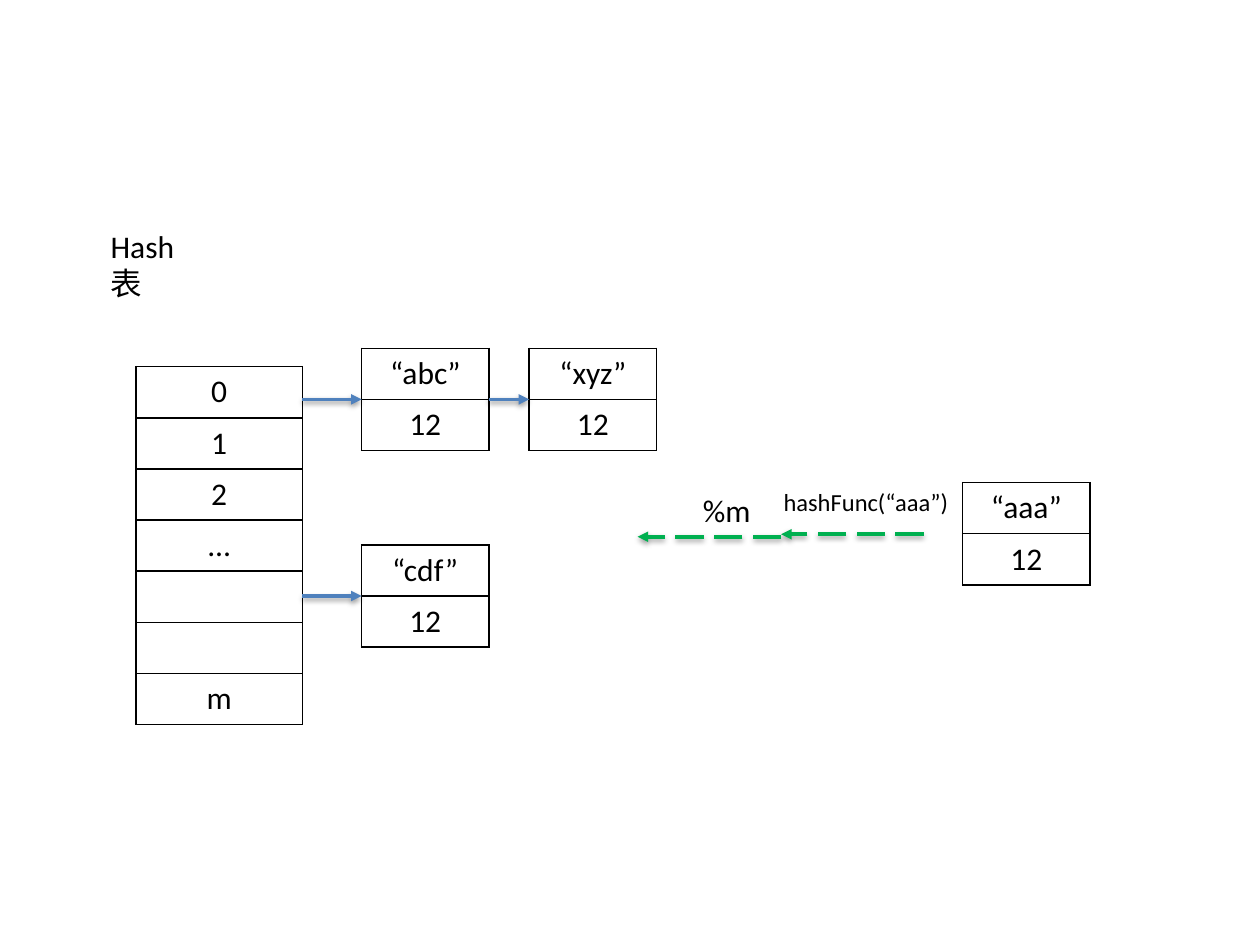
from lxml.etree import SubElement
from pptx import Presentation
from pptx.dml.color import RGBColor
from pptx.enum.dml import MSO_LINE
from pptx.enum.shapes import MSO_CONNECTOR
from pptx.enum.text import MSO_AUTO_SIZE, PP_ALIGN
from pptx.oxml.ns import qn
from pptx.util import Inches, Pt

ROW = 0.406
BUCKET_WIDTH, NODE_WIDTH = 1.32, 1.01
BLACK, BLUE, GREEN = "000000", "4F81BD", "00B050"


def color(hex_code):
    return RGBColor.from_string(hex_code)


def add_xml(parent, tag, **values):
    return SubElement(parent, qn(tag), {key: str(value) for key, value in values.items()})


def write(para, text, size=18):
    span = para.add_run()
    span.text = text
    for name, value in {"name": "Calibri", "size": Pt(size)}.items():
        setattr(span.font, name, value)
    span.font.color.rgb = color(BLACK)


def border_cell(cell):
    properties = cell._tc.get_or_add_tcPr()
    for side in ("a:lnL", "a:lnR", "a:lnT", "a:lnB"):
        line = add_xml(properties, side, w=Pt(1))
        add_xml(add_xml(line, "a:solidFill"), "a:srgbClr", val=BLACK)
    cell.fill.background()


def add_cells(page, left, top, width, texts):
    """One bordered column of equal rows."""
    frame = page.shapes.add_table(len(texts), 1, Inches(left), Inches(top),
                                  Inches(width), Inches(ROW * len(texts)))
    table = frame.table
    for name in ("first_row", "horz_banding"):
        setattr(table, name, False)
    for row, text in enumerate(texts):
        cell = table.cell(row, 0)
        border_cell(cell)
        para = cell.text_frame.paragraphs[0]
        para.alignment = PP_ALIGN.CENTER
        if text:
            write(para, text)


def add_arrow(page, start, end, y, hex_code, dash=None):
    arrow = page.shapes.add_connector(MSO_CONNECTOR.STRAIGHT, Inches(start), Inches(y),
                                      Inches(end), Inches(y))
    arrow.line.color.rgb = color(hex_code)
    for name, value in {"width": Pt(2), "dash_style": dash}.items():
        setattr(arrow.line, name, value)
    add_xml(arrow.line._get_or_add_ln(), "a:tailEnd", type="triangle")
    # Soft shadow below the line
    effects = add_xml(arrow._element.spPr, "a:effectLst")
    shadow = add_xml(effects, "a:outerShdw", blurRad=Pt(3.1), dist=Pt(1.6),
                     dir=5400000, rotWithShape=0)
    add_xml(add_xml(shadow, "a:srgbClr", val=BLACK), "a:alpha", val=38000)


def add_label(page, left, top, width, height, text, size=18, wrap=False):
    box = page.shapes.add_textbox(*map(Inches, (left, top, width, height)))
    for name, value in {"word_wrap": wrap,
                        "auto_size": MSO_AUTO_SIZE.SHAPE_TO_FIT_TEXT}.items():
        setattr(box.text_frame, name, value)
    write(box.text_frame.paragraphs[0], text, size)


def add_chain(page, start, y, nodes):
    """Linked nodes centred on y, each reached by an arrow."""
    for left, key in nodes:
        add_cells(page, left, y - ROW, NODE_WIDTH, [key, "12"])
        add_arrow(page, start, left, y, BLUE)
        start = left + NODE_WIDTH


def add_hash_table(page, left, top):
    add_label(page, left - 0.3, top - 1.16, 0.9, 0.4, "Hash表", wrap=True)
    add_cells(page, left, top, BUCKET_WIDTH, ["0", "1", "2", "…", "", "", "m"])
    edge = left + BUCKET_WIDTH
    first = edge + 0.47
    add_chain(page, edge, top + 0.26, [(first, "“abc”"), (first + 1.33, "“xyz”")])
    add_chain(page, edge, top + 1.82, [(first, "“cdf”")])


def add_lookup(page, left, top):
    """The new entry, and the two steps from its key to a bucket."""
    add_cells(page, left, top, NODE_WIDTH, ["“aaa”", "12"])
    middle = left - 1.44
    add_arrow(page, middle + 1.13, middle, top + 0.41, GREEN, MSO_LINE.LONG_DASH)
    add_label(page, left - 1.52, top - 0.01, 1.52, 0.34, "hashFunc(“aaa”)", 14)
    add_arrow(page, middle, middle - 1.14, top + 0.43, GREEN, MSO_LINE.LONG_DASH)
    add_label(page, left - 2.16, top + 0.02, 0.58, 0.4, "%m")


deck = Presentation()
deck.slide_width, deck.slide_height = Inches(10), Inches(7.5)
page = deck.slides.add_slide(deck.slide_layouts[6])
add_hash_table(page, 1.08, 2.91)
add_lookup(page, 7.64, 3.83)
deck.save("out.pptx")
